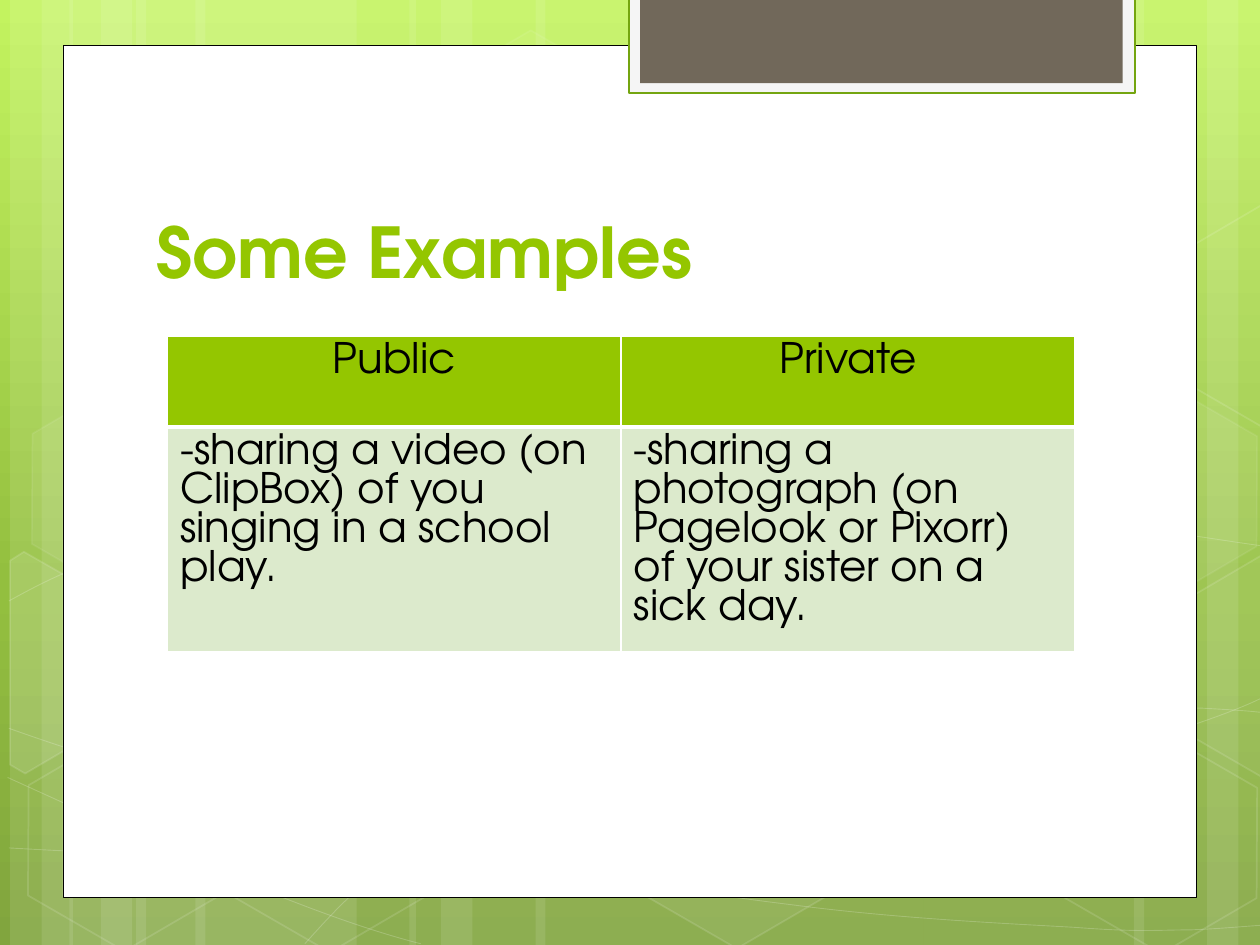
from lxml.etree import SubElement
from pptx import Presentation
from pptx.dml.color import RGBColor
from pptx.enum.shapes import MSO_SHAPE
from pptx.enum.text import MSO_ANCHOR, PP_ALIGN
from pptx.oxml.ns import qn
from pptx.util import Inches, Pt

FONT = "TeX Gyre Adventor"
COLORS = {
    "white": "FFFFFF", "black": "000000", "green": "94C600",
    "pale": "DCEACC", "frame": "F5F5F5", "edge": "74A510", "brown": "71685A",
}
BACKGROUND = [(0, "C3F35F"), (62, "93BF3F"), (100, "81A53E")]

# Full-height bands: left, width
BANDS = [(1.08, 1.75), (0.08, 0.5), (0.33, 0.83), (1.55, 1.75), (0.55, 0.5),
         (0.8, 0.83), (7.33, 1.75), (9.58, 0.5), (9, 0.83), (4.25, 3.08),
         (3.25, 0.5), (3.5, 0.83)]

# Curves: a start point, then control, control and end points
CURVES = [
    [(0.07, 6.73), (0.61, 6.76), (1.15, 6.79), (1.9, 6.78), (2.65, 6.77),
     (3.58, 6.75), (4.58, 6.65), (5.58, 6.55), (7, 6.36), (7.92, 6.17),
     (8.83, 5.98), (9.77, 5.68), (10.07, 5.51)],
    [(0.07, 4.77), (0.36, 4.61), (0.65, 4.46), (1.21, 4.31), (1.78, 4.16),
     (2.59, 3.94), (3.47, 3.87), (4.36, 3.8), (5.44, 3.79), (6.54, 3.87),
     (7.64, 3.95), (9.47, 4.26), (10.07, 4.34)],
    [(0.06, 6.17), (1.27, 6.72), (2.47, 7.27), (3.34, 7.49)],
    [(0.07, 5.78), (0.38, 5.89), (0.7, 6), (1.28, 6.16), (1.86, 6.31),
     (2.73, 6.56), (3.57, 6.73), (4.4, 6.9), (5.45, 7.08), (6.28, 7.18),
     (7.11, 7.29), (8, 7.33), (8.53, 7.36), (9.05, 7.4), (9.19, 7.38),
     (9.45, 7.38), (9.71, 7.37), (9.89, 7.35), (10.07, 7.34)],
    [(2.42, 7.49), (2.6, 7.29), (2.78, 7.09), (3.02, 6.91), (3.26, 6.73),
     (3.6, 6.53), (3.88, 6.39), (4.16, 6.25), (4.33, 6.19), (4.7, 6.09),
     (5.06, 5.99), (5.73, 5.85), (6.08, 5.78), (6.44, 5.71), (6.49, 5.71),
     (6.8, 5.69), (7.11, 5.66), (7.6, 5.63), (7.94, 5.62), (8.29, 5.61),
     (8.86, 5.62), (8.86, 5.62), (9.08, 5.62), (9.31, 5.62), (9.53, 5.62),
     (9.71, 5.63), (9.88, 5.64), (9.97, 5.65), (10.06, 5.66), (10.03, 5.65),
     (10.06, 5.66)],
]

# Hexagons: left, top, fill opacity, line opacity
HEXAGONS = [(3.34, 0.36, 4, 8), (4.97, 5.89, 6, 12), (0.11, 5.91, 0, 12),
            (0.14, 3.12, 7, 8), (1.74, 5.92, 0, 12), (8.34, 5.93, 0, 12),
            (8.34, 3.14, 7, 8)]

# Hexagons cut by the slide edge: corner points, fill opacity
CUT_HEXAGONS = [
    ([(0.08, 4.45), (0.19, 4.38), (0.96, 4.82), (0.95, 5.7), (0.2, 6.14),
      (0.08, 6.07)], 10),
    ([(9.26, 4.85), (10.01, 4.41), (10.09, 4.46), (10.09, 6.13),
      (10.02, 6.17), (9.26, 5.73)], 4),
    ([(9.26, 2.07), (10.01, 1.63), (10.1, 1.68), (10.09, 3.35),
      (10.02, 3.39), (9.26, 2.95)], 0),
]

ROWS = [
    ("Public", "Private"),
    ("-sharing a video (on ClipBox) of you singing in a school play.",
     "-sharing a photograph (on Pagelook or Pixorr) of your sister on a sick day."),
]


def rgb(name):
    return RGBColor.from_string(COLORS[name])


def paint(fill, name, opacity=100):
    if not opacity:
        fill.background()
        return
    fill.solid()
    fill.fore_color.rgb = rgb(name)
    if opacity < 100:
        color = fill._xPr.find(qn("a:solidFill"))[0]
        SubElement(color, qn("a:alpha"), val=str(opacity * 1000))


def style(sp, fill="white", opacity=100, line=None, width=1, line_opacity=100):
    sp.shadow.inherit = False
    paint(sp.fill, fill, opacity)
    if line:
        sp.line.width = Pt(width)
        paint(sp.line.fill, line, line_opacity)
    else:
        sp.line.fill.background()


def add_box(s, kind, left, top, width, height):
    return s.shapes.add_shape(kind, Inches(left), Inches(top),
                              Inches(width), Inches(height))


def add_outline(s, points, close):
    (x, y), *rest = [(Inches(x), Inches(y)) for x, y in points]
    ff = s.shapes.build_freeform(x, y)
    ff.add_line_segments(rest, close=close)
    return ff.convert_to_shape()


def add_curve(s, points):
    """Draw an open outline and join each three points into a cubic curve."""
    sp = add_outline(s, points, False)
    segments = list(sp._element.iter(qn("a:lnTo")))
    for i in range(0, len(segments), 3):
        curve = SubElement(segments[i].getparent(), qn("a:cubicBezTo"))
        for segment in segments[i:i + 3]:
            curve.append(segment[0])
            segment.getparent().remove(segment)
    return sp


def add_background(s, height):
    fill = s.background.fill
    fill.gradient()
    fill.gradient_angle = 270
    stops = fill._xPr.find(qn("a:gradFill")).find(qn("a:gsLst"))
    for stop in list(stops):
        stops.remove(stop)
    for pos, color in BACKGROUND:
        stop = SubElement(stops, qn("a:gs"), pos=str(pos * 1000))
        SubElement(stop, qn("a:srgbClr"), val=color)
    for left, width in BANDS:
        style(add_box(s, MSO_SHAPE.RECTANGLE, left, 0, width, height), opacity=10)
    for points in CURVES:
        style(add_curve(s, points), opacity=0,
              line="white", width=0.5, line_opacity=20)
    for left, top, opacity, line_opacity in HEXAGONS:
        sp = add_box(s, MSO_SHAPE.HEXAGON, left, top, 1.75, 1.52)
        sp.adjustments[0] = 0.285
        sp.rotation = 30
        style(sp, opacity=opacity, line="white", line_opacity=line_opacity)
    for points, opacity in CUT_HEXAGONS:
        style(add_outline(s, points, True), opacity=opacity,
              line="white", line_opacity=12)


def add_panel(s, left, top, width, height):
    style(add_box(s, MSO_SHAPE.RECTANGLE, left, top, width, height),
          line="black", width=0.5)
    # Tab hanging from the top edge
    style(add_box(s, MSO_SHAPE.RECTANGLE, left + 4.49, -0.02, 4.02, 0.76),
          "frame", line="edge", width=1.25)
    style(add_box(s, MSO_SHAPE.RECTANGLE, left + 4.58, -0.02, 3.83, 0.68), "brown")


def add_title(s, text, left, top, width, height):
    sp = s.shapes.title
    sp.left, sp.top = Inches(left), Inches(top)
    sp.width, sp.height = Inches(width), Inches(height)
    sp._element.getparent().append(sp._element)  # bring to front
    tf = sp.text_frame
    tf.text = text
    tf.word_wrap = True
    tf.vertical_anchor = MSO_ANCHOR.BOTTOM
    p = tf.paragraphs[0]
    p.alignment = PP_ALIGN.LEFT
    p.font.name, p.font.size, p.font.bold = FONT, Pt(40), True
    p.font.color.rgb = rgb("green")


def add_borders(cell, bottom):
    tcPr = cell._tc.get_or_add_tcPr()
    for i, (side, width) in enumerate(zip("LRTB", (1, 1, 1, bottom))):
        ln = tcPr.makeelement(qn(f"a:ln{side}"), {"w": str(Pt(width))})
        fill = SubElement(ln, qn("a:solidFill"))
        SubElement(fill, qn("a:srgbClr"), val=COLORS["white"])
        tcPr.insert(i, ln)


def add_examples(s, left, top, width, heights):
    table = s.shapes.add_table(len(ROWS), 2, Inches(left), Inches(top),
                               Inches(width), Inches(sum(heights))).table
    for i, (texts, height) in enumerate(zip(ROWS, heights)):
        table.rows[i].height = Inches(height)
        for j, text in enumerate(texts):
            cell = table.cell(i, j)
            cell.text = text
            paint(cell.fill, "pale" if i else "green")
            add_borders(cell, 1 if i else 3)
            p = cell.text_frame.paragraphs[0]
            p.alignment = PP_ALIGN.LEFT if i else PP_ALIGN.CENTER
            p.line_spacing = Pt(22.3)
            p.font.name, p.font.size, p.font.bold = FONT, Pt(24), False
            p.font.color.rgb = rgb("black")


prs = Presentation()
prs.slide_width, prs.slide_height = Inches(10), Inches(7.5)
s = prs.slides.add_slide(prs.slide_layouts[5])
add_background(s, 7.5)
add_panel(s, 0.5, 0.36, 9, 6.76)
add_title(s, "Some Examples", 1.14, 1.12, 7.68, 1.25)
add_examples(s, 1.33, 2.67, 7.2, (0.72, 1.78))
prs.save("out.pptx")
